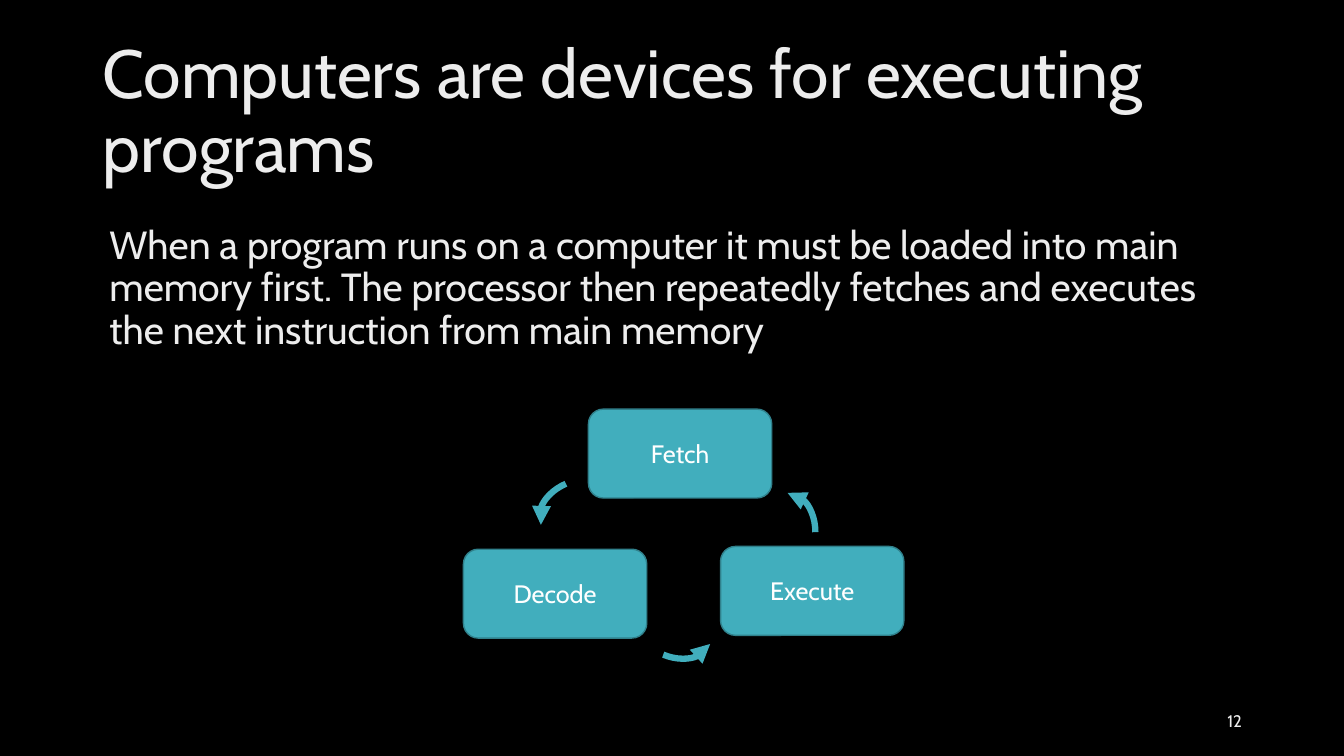
from pptx import Presentation
from pptx.dml.color import RGBColor
from pptx.enum import shapes, text
from pptx.oxml.ns import qn
from pptx.util import Cm, Pt
from lxml import etree

BLACK = RGBColor(0x00, 0x00, 0x00)
WHITE = RGBColor(0xFF, 0xFF, 0xFF)
PALE = RGBColor(0xED, 0xED, 0xED)
TEAL = RGBColor(0x41, 0xAE, 0xBD)
DARK_TEAL = RGBColor(0x30, 0x81, 0x8C)
TOP, MIDDLE = text.MSO_ANCHOR.TOP, text.MSO_ANCHOR.MIDDLE
LEFT, CENTER, RIGHT = text.PP_ALIGN.LEFT, text.PP_ALIGN.CENTER, text.PP_ALIGN.RIGHT


def write(sp, words, size, color, anchor, align, spacing=1.0):
    tf = sp.text_frame
    tf.word_wrap = True
    tf.vertical_anchor = anchor
    tf.text = words
    p = tf.paragraphs[0]
    p.alignment = align
    p.line_spacing = spacing
    font = p.runs[0].font
    font.name = "Cabin"
    font.size = Pt(size)
    font.color.rgb = color
    return p


prs = Presentation()
prs.slide_width, prs.slide_height = Cm(33.87), Cm(19.05)
s = prs.slides.add_slide(prs.slide_layouts[6])
s.background.fill.solid()
s.background.fill.fore_color.rgb = BLACK

# Title, explanation and slide number
title = s.shapes.add_textbox(Cm(2.34), Cm(1.02), Cm(29.21), Cm(3.68))
write(title, "Computers are devices for executing programs", 48.6, PALE, MIDDLE, LEFT, 0.9)

body = s.shapes.add_textbox(Cm(2.51), Cm(5.56), Cm(29.21), Cm(11.25))
p = write(body, "When a program runs on a computer it must be loaded into main memory "
          "first. The processor then repeatedly fetches and executes the next "
          "instruction from main memory", 28, PALE, TOP, LEFT, 0.9)
p.space_before = Pt(10)

number = s.shapes.add_textbox(Cm(23.93), Cm(17.65), Cm(7.62), Cm(1.02))
write(number, "12", 12, PALE, MIDDLE, RIGHT)

# Steps of the instruction cycle
for step, x, y in [("Fetch", 14.83, 10.31), ("Execute", 18.16, 13.77), ("Decode", 11.68, 13.84)]:
    sp = s.shapes.add_shape(shapes.MSO_SHAPE.ROUNDED_RECTANGLE, Cm(x), Cm(y), Cm(4.62), Cm(2.24))
    sp.shadow.inherit = False
    sp.fill.solid()
    sp.fill.fore_color.rgb = TEAL
    sp.line.color.rgb = DARK_TEAL
    sp.line.width = Pt(1)
    write(sp, step, 18, WHITE, MIDDLE, CENTER)

# Curved arrows between the steps
for x, y, angle in [(19.15, 12.42, 0), (13.84, 11.84, 246.6), (16.28, 14.86, 112.5)]:
    arc = s.shapes.add_shape(shapes.MSO_SHAPE.ARC, Cm(x), Cm(y), Cm(1.4), Cm(1.98))
    arc.rotation = angle
    arc.shadow.inherit = False
    arc.fill.background()
    arc.line.color.rgb = TEAL
    arc.line.width = Pt(4.5)
    etree.SubElement(arc.line._get_or_add_ln(), qn("a:headEnd"), type="triangle")

prs.save("out.pptx")
